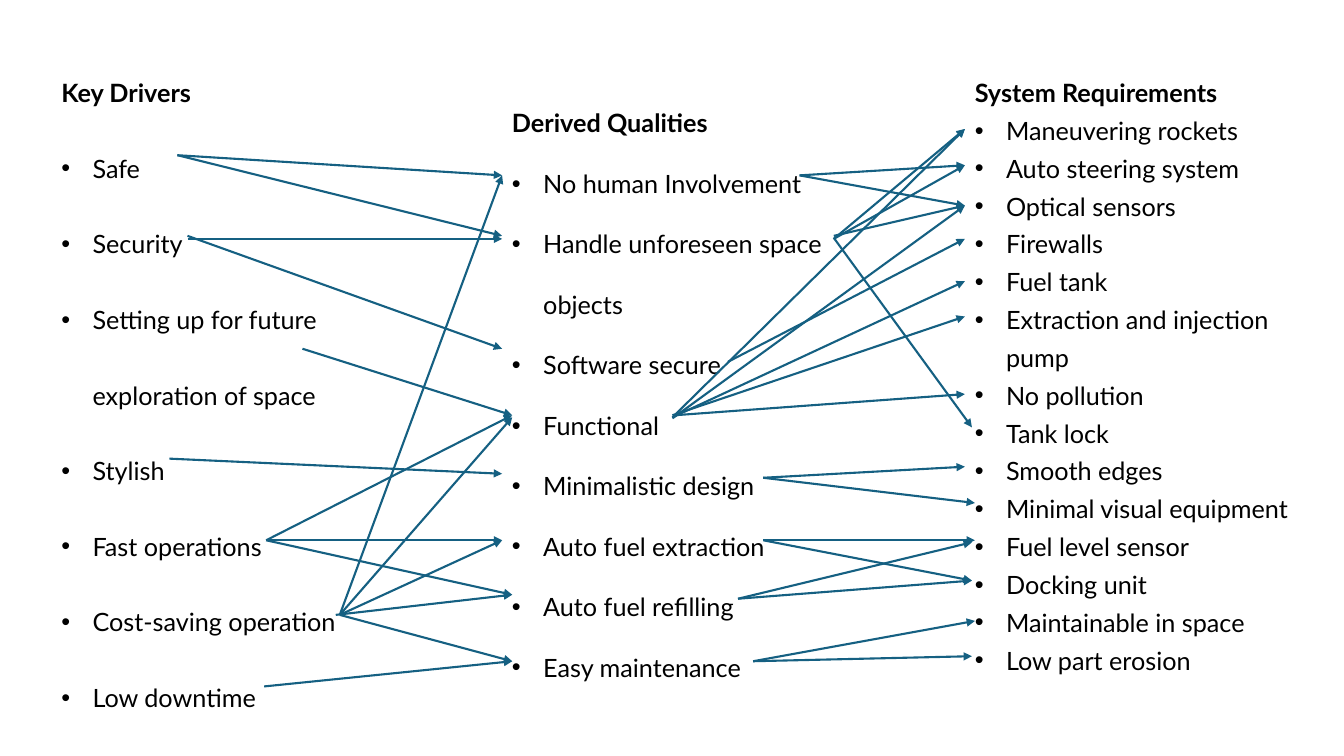
from dataclasses import dataclass

import lxml.etree
import pptx
import pptx.dml.color
import pptx.enum.shapes
import pptx.enum.text
import pptx.oxml.ns
import pptx.presentation
import pptx.slide
import pptx.text.text
import pptx.util

PX = 9144  # EMU per px, 100 px to the inch
FONT = "Lato"
BLACK = pptx.dml.color.RGBColor(0x00, 0x00, 0x00)
ARROW_BLUE = pptx.dml.color.RGBColor(0x15, 0x60, 0x82)
COLUMN_TOP = 72
BULLET_INDENT = 31


@dataclass(frozen=True)
class Column:
    left: int
    width: int
    height: int
    heading: str
    heading_spacing: float
    item_spacing: float | pptx.util.Length
    items: tuple[str, ...]


@dataclass(frozen=True)
class Fan:
    """Arrows that leave one point."""
    start: tuple[int, int]
    ends: tuple[tuple[int, int], ...]


COLUMNS = (
    Column(51, 374, 634, "Key Drivers", 1.0, 2.5, (
        "Safe",
        "Security",
        "Setting up for future exploration of space",
        "Stylish",
        "Fast operations",
        "Cost-saving operation",
        "Low downtime",
    )),
    Column(498, 360, 608, "Derived Qualities", 2.0, 2.0, (
        "No human Involvement",
        "Handle unforeseen space objects",
        "Software secure",
        "Functional",
        "Minimalistic design",
        "Auto fuel extraction",
        "Auto fuel refilling",
        "Easy maintenance",
    )),
    Column(957, 360, 606, "System Requirements", 1.0, pptx.util.Pt(27), (
        "Maneuvering rockets",
        "Auto steering system",
        "Optical sensors",
        "Firewalls",
        "Fuel tank",
        "Extraction and injection pump",
        "No pollution",
        "Tank lock",
        "Smooth edges",
        "Minimal visual equipment",
        "Fuel level sensor",
        "Docking unit",
        "Maintainable in space",
        "Low part erosion",
    )),
)

DRIVER_FANS = (
    Fan((176, 154), ((498, 174), (498, 234))),  # Safe
    Fan((186, 237), ((498, 237),)),  # Security
    Fan((186, 234), ((498, 346),)),
    Fan((300, 346), ((508, 412),)),  # Future exploration
    Fan((168, 455), ((498, 470),)),  # Stylish
    Fan((264, 536), ((508, 412), (498, 536), (508, 590))),  # Fast operations
    Fan((333, 610), ((508, 590),)),  # Cost-saving operation
    Fan((337, 610), ((508, 656), (498, 536), (508, 414), (498, 174))),
    Fan((262, 681), ((508, 656),)),  # Low downtime
)

QUALITY_FANS = (
    Fan((793, 174), ((957, 164), (957, 204))),  # No human involvement
    Fan((827, 237), ((957, 128), (957, 164))),  # Unforeseen objects
    Fan((827, 234), ((957, 204),)),
    Fan((827, 236), ((964, 424),)),
    Fan((722, 359), ((957, 237),)),  # Software secure
    Fan((667, 414), ((957, 279), (957, 128))),  # Functional
    Fan((667, 412), ((957, 314),)),
    Fan((667, 415), ((957, 204),)),
    Fan((669, 412), ((957, 391),)),
    Fan((757, 474), ((957, 463), (967, 499))),  # Minimalistic design
    Fan((757, 536), ((967, 536), (964, 576))),  # Auto fuel extraction
    Fan((732, 594), ((964, 538), (964, 576))),  # Auto fuel refilling
    Fan((747, 656), ((967, 616), (964, 651))),  # Easy maintenance
)


def add_text(paragraph: pptx.text.text._Paragraph, text: str, bold: bool) -> None:
    run = paragraph.add_run()
    run.text = text
    run.font.name = FONT
    run.font.size = pptx.util.Pt(18)
    run.font.bold = bold
    run.font.color.rgb = BLACK


def add_bullet(paragraph: pptx.text.text._Paragraph) -> None:
    properties = paragraph._p.get_or_add_pPr()
    properties.set("marL", str(BULLET_INDENT * PX))
    properties.set("indent", str(-BULLET_INDENT * PX))
    qualified = pptx.oxml.ns.qn
    lxml.etree.SubElement(properties, qualified("a:buFont"), typeface="Arial")
    lxml.etree.SubElement(properties, qualified("a:buChar"), char="•")


def add_column(slide: pptx.slide.Slide, column: Column) -> None:
    text_box = slide.shapes.add_textbox(
        column.left * PX, COLUMN_TOP * PX, column.width * PX, column.height * PX)
    frame = text_box.text_frame
    frame.word_wrap = True
    frame.auto_size = pptx.enum.text.MSO_AUTO_SIZE.SHAPE_TO_FIT_TEXT
    heading = frame.paragraphs[0]
    heading.line_spacing = column.heading_spacing
    add_text(heading, column.heading, bold=True)
    for item in column.items:
        paragraph = frame.add_paragraph()
        paragraph.line_spacing = column.item_spacing
        add_bullet(paragraph)
        add_text(paragraph, item, bold=False)


def add_fan(slide: pptx.slide.Slide, fan: Fan) -> None:
    start_x, start_y = fan.start
    for end_x, end_y in fan.ends:
        arrow = slide.shapes.add_connector(
            pptx.enum.shapes.MSO_CONNECTOR.STRAIGHT,
            start_x * PX, start_y * PX, end_x * PX, end_y * PX)
        arrow.line.color.rgb = ARROW_BLUE
        arrow.line.width = pptx.util.Pt(1.5)
        qualified = pptx.oxml.ns.qn
        line = arrow.line._get_or_add_ln()
        lxml.etree.SubElement(line, qualified("a:tailEnd"), type="triangle")
        lxml.etree.SubElement(arrow._element.spPr, qualified("a:effectLst"))


def main() -> None:
    presentation = pptx.Presentation()
    presentation.slide_width = 1333 * PX
    presentation.slide_height = 750 * PX
    slide = presentation.slides.add_slide(presentation.slide_layouts[6])

    # Text columns
    for column in COLUMNS:
        add_column(slide, column)

    # Arrows between the columns
    for fan in DRIVER_FANS + QUALITY_FANS:
        add_fan(slide, fan)

    presentation.save("out.pptx")


if __name__ == "__main__":
    main()
